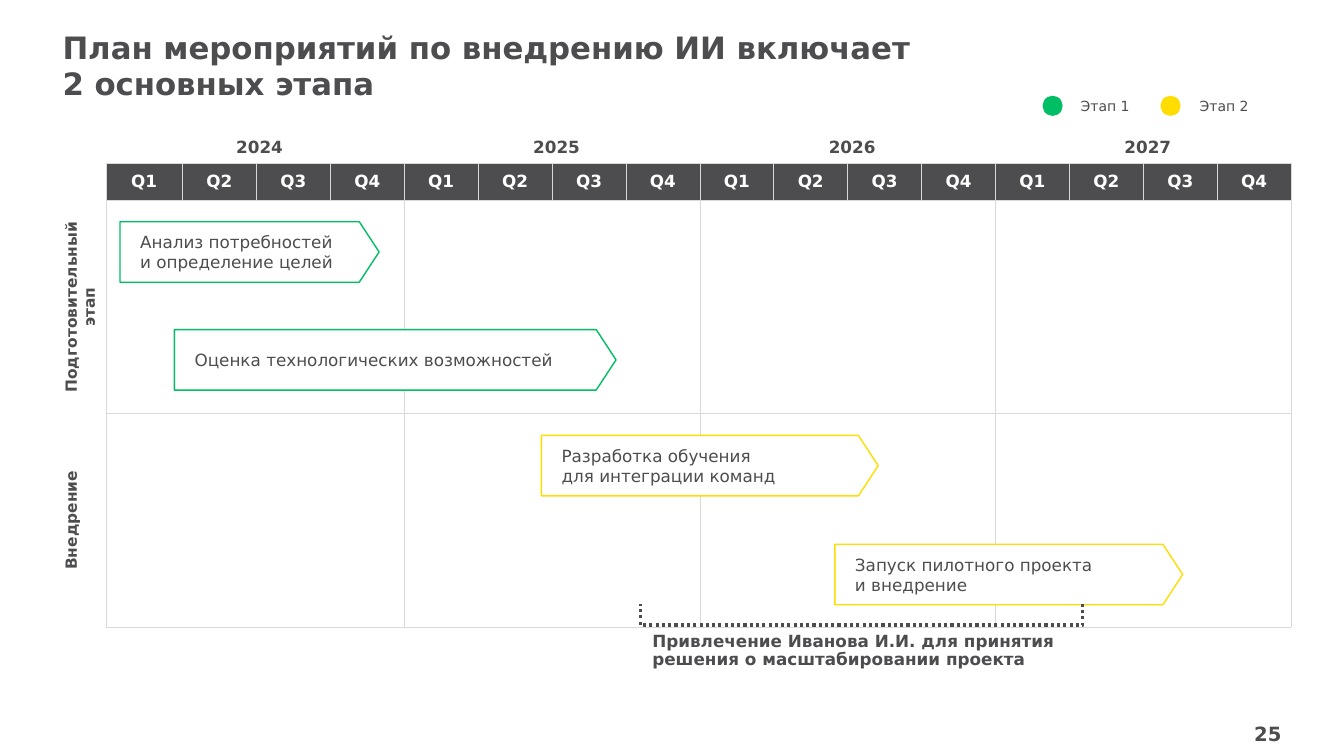
from lxml import etree
from pptx import Presentation
from pptx.dml.color import RGBColor
from pptx.enum.dml import MSO_LINE_DASH_STYLE as Dash
from pptx.enum.shapes import MSO_SHAPE as Shape
from pptx.enum.text import MSO_ANCHOR as Anchor, MSO_AUTO_SIZE as AutoSize, PP_ALIGN as Align
from pptx.oxml.ns import qn
from pptx.util import Inches, Pt

COLORS = {"text": "4D4D4F", "grid": "D9D9D9", "white": "FFFFFF",
          "stage1": "00BE64", "stage2": "FFDD00"}
COLORS_RGB = {name: RGBColor.from_string(value) for name, value in COLORS.items()}


def write(holder, text, size, bold=False, color="text", align=Align.LEFT,
          anchor=Anchor.MIDDLE, margins=(0, 0, 0, 0)):
    """Fill a text frame or table cell; margins are left, top, right, bottom."""
    frame = getattr(holder, "text_frame", holder)
    frame.text = text
    holder.vertical_anchor = anchor
    holder.margin_left, holder.margin_top, holder.margin_right, holder.margin_bottom = map(Inches, margins)
    for para in frame.paragraphs:
        para.alignment = align
        para.font.name = "DejaVu Sans"
        para.font.size = Pt(size)
        para.font.bold = bold
        para.font.color.rgb = COLORS_RGB[color]


def set_borders(cell, sides):
    """Draw thin grid lines on the given sides (letters of LRTB), none elsewhere."""
    properties = cell._tc.get_or_add_tcPr()
    for side in "LRTB":
        line = etree.SubElement(properties, qn(f"a:ln{side}"), w=str(Pt(0.5)))
        if side in sides:
            fill = etree.SubElement(line, qn("a:solidFill"))
            etree.SubElement(fill, qn("a:srgbClr"), val=COLORS["grid"])
        else:
            etree.SubElement(line, qn("a:noFill"))


deck = Presentation()
deck.slide_width, deck.slide_height = Inches(13.33), Inches(7.5)
page = deck.slides.add_slide(deck.slide_layouts[5])

# Title
title = page.shapes.title
title.left, title.top, title.width, title.height = map(Inches, (0.62, 0.28, 10.94, 0.74))
title.text_frame.auto_size = AutoSize.NONE
write(title.text_frame, "План мероприятий по внедрению ИИ включает\v2 основных этапа",
      22, bold=True, anchor=Anchor.TOP)

# Page number
number = page.shapes.add_textbox(*map(Inches, (12.14, 7.16, 0.57, 0.24)))
number.text_frame.word_wrap = True
write(number.text_frame, "25", 14, bold=True, align=Align.RIGHT)

# Calendar table
frame = page.shapes.add_table(6, 17, *map(Inches, (0.62, 1.31, 12.19, 4.91)))
calendar = frame.table
calendar.first_row = calendar.horz_banding = False
style = frame._element.find(".//" + qn("a:tableStyleId"))
style.text = "{2D5ABB26-0587-4C30-8999-92F81FD0307C}"
for column, width in zip(calendar.columns, [0.43, 0.76] + [11 / 15] * 15):
    column.width = Inches(width)
for row, height in zip(calendar.rows, [0.31, 0.37] + [4.23 / 4] * 4):
    row.height = Inches(height)

for row in range(6):
    for column in range(17):
        cell = calendar.cell(row, column)
        quarter = (column - 1) % 4 + 1
        if row == 0:
            sides = "B" if column else ""
        elif column == 0:
            sides = "R"
        elif row == 1:
            sides = "LRTB"
        else:
            sides = "T" if row % 2 == 0 else "B"
            sides += {1: "L", 4: "R"}.get(quarter, "")
        set_borders(cell, sides)
        if row == 1 and column:
            write(cell, f"Q{quarter}", 12, bold=True, color="white", align=Align.CENTER,
                  margins=(0.07, 0.03, 0.07, 0.03))
            cell.fill.solid()
            cell.fill.fore_color.rgb = COLORS_RGB["text"]
        else:
            write(cell, "", 12)
            cell.fill.background()

# Year headings
for index, year in enumerate(("2024", "2025", "2026", "2027")):
    first = 1 + 4 * index
    heading = calendar.cell(0, first)
    heading.merge(calendar.cell(0, first + 3))
    write(heading, year, 12, bold=True, align=Align.CENTER, margins=(0.09, 0, 0, 0))

# Vertical stage names
for row, stage in ((2, "Подготовительный\nэтап"), (4, "Внедрение")):
    label = calendar.cell(row, 0)
    label.merge(calendar.cell(row + 1, 0))
    write(label, stage, 11, bold=True, align=Align.CENTER)
    label._tc.get_or_add_tcPr().set("vert", "vert270")

# Activities
activities = (
    (1.19, 2.2, 2.57, "stage1", "Анализ потребностей\vи определение целей"),
    (5.37, 4.32, 3.34, "stage2", "Разработка обучения\vдля интеграции команд"),
    (8.28, 5.4, 3.45, "stage2", "Запуск пилотного проекта\vи внедрение"),
    (1.73, 3.27, 4.38, "stage1", "Оценка технологических возможностей"),
)
for left, top, width, stage, text in activities:
    arrow = page.shapes.add_shape(Shape.PENTAGON, *map(Inches, (left, top, width, 0.6)))
    arrow.adjustments[0] = 0.327
    arrow.shadow.inherit = False
    arrow.fill.solid()
    arrow.fill.fore_color.rgb = COLORS_RGB["white"]
    arrow.line.color.rgb = COLORS_RGB[stage]
    arrow.line.width = Pt(1)
    arrow.text_frame.word_wrap = True
    write(arrow.text_frame, text, 12, margins=(0.2, 0.2, 0.2, 0.2))

# Note with its dotted bracket
decision = page.shapes.add_group_shape()
note = decision.shapes.add_textbox(*map(Inches, (6.47, 6.28, 4.39, 0.36)))
note.text_frame.word_wrap = True
write(note.text_frame, "Привлечение Иванова И.И. для принятия решения о масштабировании проекта",
      12, bold=True, anchor=Anchor.TOP)
note.text_frame.paragraphs[0].line_spacing = 0.9
bracket = decision.shapes.add_shape(Shape.LEFT_BRACKET, *map(Inches, (8.44, 3.9, 0.21, 4.39)))
bracket.rotation = 270
bracket.adjustments[0] = 0
bracket.shadow.inherit = False
bracket.fill.background()
bracket.line.color.rgb = COLORS_RGB["text"]
bracket.line.width = Pt(2.25)
bracket.line.dash_style = Dash.ROUND_DOT

# Legend
for dot_left, text_left, width, stage, text in (
        (10.34, 10.62, 0.72, "stage1", "Этап 1"), (11.51, 11.8, 1.02, "stage2", "Этап 2")):
    dot = page.shapes.add_shape(Shape.OVAL, *map(Inches, (dot_left, 0.95, 0.2, 0.2)))
    dot.shadow.inherit = False
    dot.fill.solid()
    dot.fill.fore_color.rgb = COLORS_RGB[stage]
    dot.line.fill.background()
    label = page.shapes.add_textbox(*map(Inches, (text_left, 0.95, width, 0.2)))
    label.text_frame.word_wrap = True
    write(label.text_frame, text, 10, margins=(0.1, 0.05, 0.1, 0.05))

deck.save("out.pptx")
